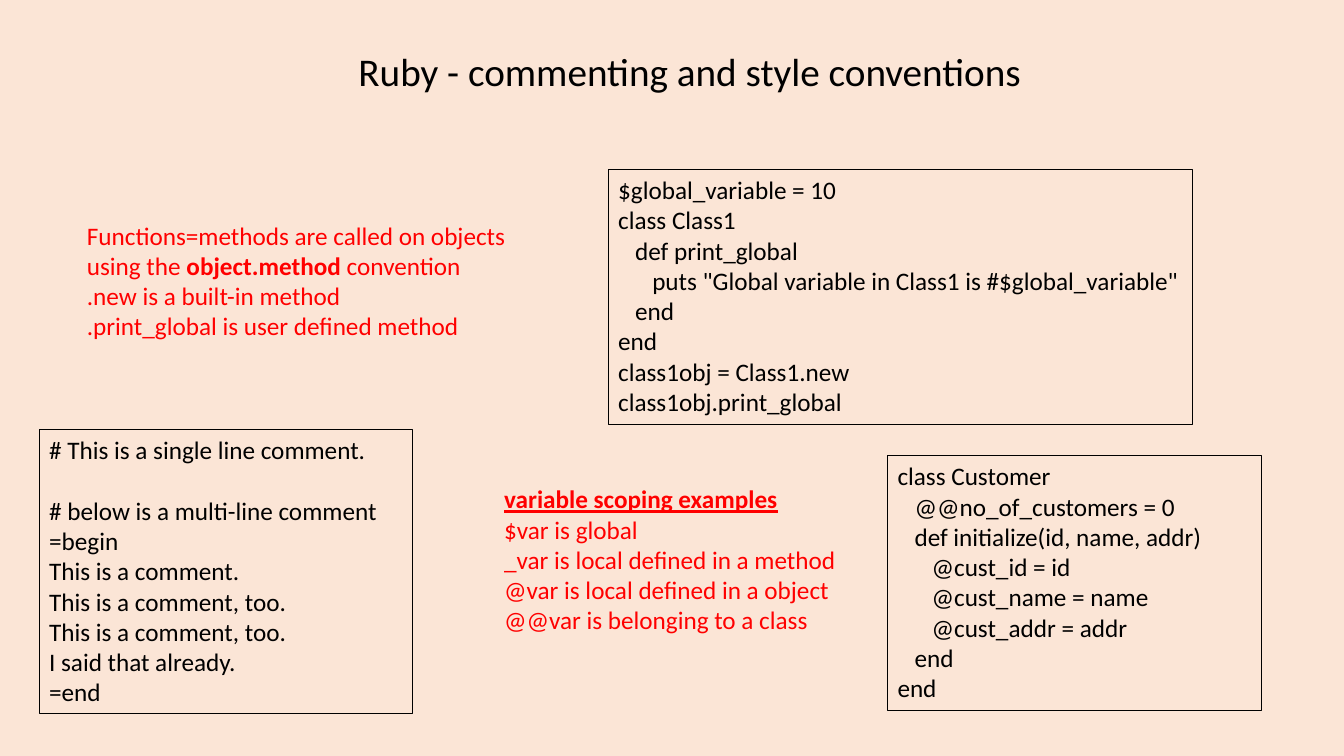
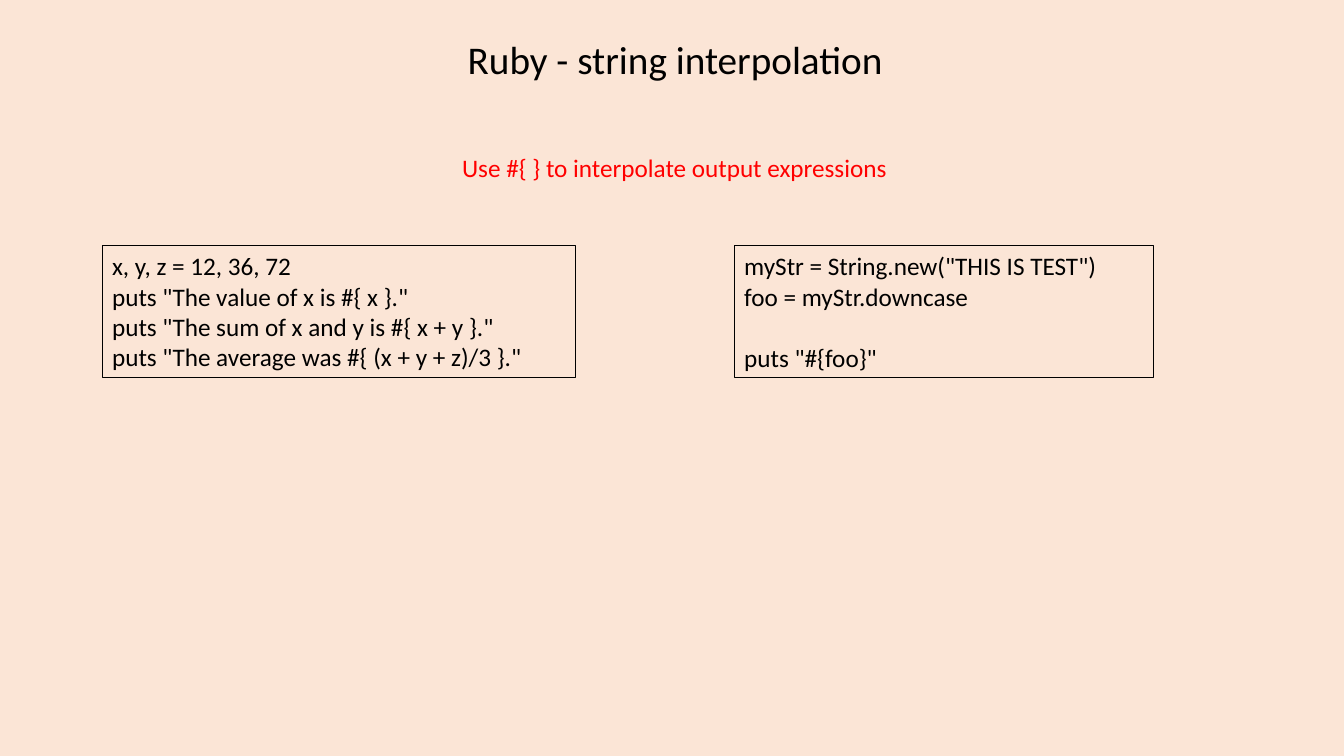
import pptx
import pptx.dml.color
import pptx.enum.shapes
import pptx.enum.text
import pptx.util

Pt = pptx.util.Pt

FONT = "Calibri"
BACKGROUND = "FBE5D6"
INK = "000000"
ACCENT = "FF0000"
TITLE_SIZE = 28
BODY_SIZE = 18
LINE_HEIGHT = 22

COMMENT_CODE = """# This is a single line comment.

# below is a multi-line comment
=begin
This is a comment.
This is a comment, too.
This is a comment, too.
I said that already.
=end"""

CUSTOMER_CODE = """class Customer
   @@no_of_customers = 0
   def initialize(id, name, addr)
      @cust_id = id
      @cust_name = name
      @cust_addr = addr
   end
end"""

GLOBAL_CODE = """$global_variable = 10
class Class1
   def print_global
      puts "Global variable in Class1 is #$global_variable"
   end
end
class1obj = Class1.new
class1obj.print_global"""

DOWNCASE_CODE = """myStr = String.new("THIS IS TEST")
foo = myStr.downcase

puts "#{foo}\""""

AVERAGE_CODE = """x, y, z = 12, 36, 72
puts "The value of x is #{ x }."
puts "The sum of x and y is #{ x + y }."
puts "The average was #{ (x + y + z)/3 }.\""""

METHOD_NOTE = [
    [("Functions=methods are called on objects using the ", ""),
     ("object.method ", "bold"),
     ("convention", "")],
    [(".new is a built-in method", "")],
    [(".print_global is user defined method", "")],
]

SCOPE_NOTE = [
    [("variable scoping examples", "bold underline")],
    [("$var is global", "")],
    [("_var is local defined in a method", "")],
    [("@var is local defined in a object", "")],
    [("@@var is belonging to a class", "")],
]

INTERPOLATION_NOTE = [[("Use #{ } to interpolate output expressions", "")]]


def color(value):
    """Turn a hex string into a colour."""
    return pptx.dml.color.RGBColor.from_string(value)


def add_run(paragraph, text, size, ink, style=""):
    """Append one formatted run."""
    run = paragraph.add_run()
    run.text = text
    run.font.name = FONT
    run.font.size = Pt(size)
    run.font.color.rgb = color(ink)
    run.font.bold = "bold" in style
    run.font.underline = "underline" in style


def add_paragraph(frame, index):
    """Return the first paragraph or a new one, aligned left."""
    paragraph = frame.add_paragraph() if index else frame.paragraphs[0]
    paragraph.alignment = pptx.enum.text.PP_ALIGN.LEFT
    return paragraph


def add_text(slide, box, paragraphs, size, ink):
    """Place a wrapping text box made of lists of styled runs."""
    frame = slide.shapes.add_textbox(*map(Pt, box)).text_frame
    frame.word_wrap = True
    for index, runs in enumerate(paragraphs):
        paragraph = add_paragraph(frame, index)
        for text, style in runs:
            add_run(paragraph, text, size, ink, style)


def add_title(slide, box, text):
    """Place the slide title."""
    add_text(slide, box, [[(text, "")]], TITLE_SIZE, INK)


def add_note(slide, box, paragraphs):
    """Place a red explanation."""
    add_text(slide, box, paragraphs, BODY_SIZE, ACCENT)


def add_code(slide, box, code):
    """Place an outlined listing, turning empty lines into spacing."""
    shape = slide.shapes.add_shape(
        pptx.enum.shapes.MSO_SHAPE.RECTANGLE, *map(Pt, box))
    shape.shadow.inherit = False
    shape.fill.background()
    shape.line.color.rgb = color(INK)
    shape.line.width = Pt(0.75)
    frame = shape.text_frame
    frame.word_wrap = True
    frame.vertical_anchor = pptx.enum.text.MSO_ANCHOR.TOP
    gap = 0
    for index, line in enumerate(code.split("\n")):
        if not line:
            gap += LINE_HEIGHT
            continue
        paragraph = add_paragraph(frame, index)
        if gap:
            paragraph.space_before = Pt(gap)
            gap = 0
        add_run(paragraph, line, BODY_SIZE, INK)


def build_conventions(slide):
    """Build the slide on comments, methods and variable scope."""
    add_title(slide, (249, 30, 493, 41), "Ruby - commenting and style conventions")
    add_code(slide, (28, 306.5, 267, 203.5), COMMENT_CODE)
    add_code(slide, (634, 325.5, 267, 182), CUSTOMER_CODE)
    add_code(slide, (434.5, 121, 417.5, 182), GLOBAL_CODE)
    add_note(slide, (353, 342, 254, 138), SCOPE_NOTE)
    add_note(slide, (55, 153.5, 343, 94), METHOD_NOTE)


def build_interpolation(slide):
    """Build the slide on string interpolation."""
    add_title(slide, (327, 22, 315, 41), "Ruby - string interpolation")
    add_code(slide, (524.5, 175.5, 299.5, 94), DOWNCASE_CODE)
    add_code(slide, (73, 175.5, 338, 94), AVERAGE_CODE)
    add_note(slide, (323, 105, 321, 29), INTERPOLATION_NOTE)


def main():
    """Build and save the presentation."""
    presentation = pptx.Presentation()
    presentation.slide_width = Pt(960)
    presentation.slide_height = Pt(540)
    fill = presentation.slide_master.background.fill
    fill.solid()
    fill.fore_color.rgb = color(BACKGROUND)
    blank = presentation.slide_layouts[6]
    for build in (build_conventions, build_interpolation):
        build(presentation.slides.add_slide(blank))
    presentation.save("out.pptx")


if __name__ == "__main__":
    main()
